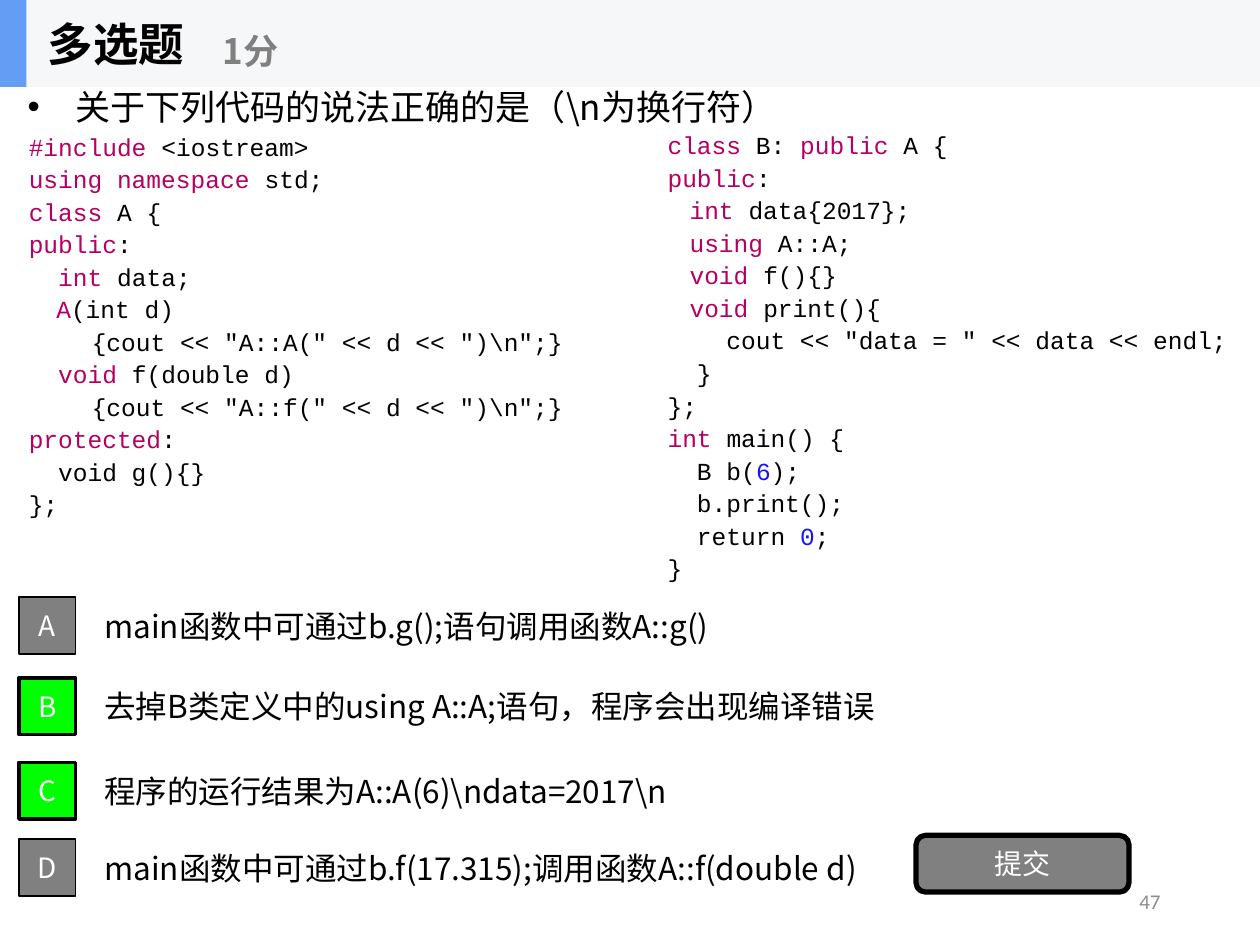
from lxml import etree
from pptx import Presentation
from pptx import util as u
from pptx.dml.color import RGBColor
from pptx.enum import shapes, text
from pptx.oxml import ns

BLACK = RGBColor(0x00, 0x00, 0x00)
WHITE = RGBColor(0xFF, 0xFF, 0xFF)
GRAY = RGBColor(0x80, 0x80, 0x80)
PALE = RGBColor(0x8C, 0x8C, 0x8C)
GREEN = RGBColor(0x00, 0xFF, 0x00)
BLUE = RGBColor(0x63, 0x9E, 0xF4)
MIST = RGBColor(0xF6, 0xF7, 0xF8)
KEY = RGBColor(0xB4, 0x00, 0x61)
NUM = RGBColor(0x16, 0x14, 0xFF)

SANS, MONO = "Noto Sans CJK SC", "Courier New"
LEFT, MID, RIGHT = text.PP_ALIGN.LEFT, text.PP_ALIGN.CENTER, text.PP_ALIGN.RIGHT
RECT, ROUND = shapes.MSO_SHAPE.RECTANGLE, shapes.MSO_SHAPE.ROUNDED_RECTANGLE

BASE = r"""`#include` <iostream>
`using namespace` std;
`class` A {
`public`:
  `int` data;
     `A`(int d)
	{cout << "A::A(" << d << ")\n";}
  `void` f(double d)
	{cout << "A::f(" << d << ")\n";}
`protected`:
  void g(){}
};"""

CHILD = r"""`class` B: `public` A {
`public`:
    `int` data{2017};
    `using` A::A;
    `void` f(){}
    `void` print(){
    cout << "data = " << data << endl;
  }
};
`int` main() {
  B b(`6`);
  b.print();
  return `0`;
}"""

CHOICES = [
    ("A", 47.4, False, "main函数中可通过b.g();语句调用函数A::g()"),
    ("B", 53.8, True, "去掉B类定义中的using A::A;语句，程序会出现编译错误"),
    ("C", 60.5, True, r"程序的运行结果为A::A(6)\ndata=2017\n"),
    ("D", 66.6, False, "main函数中可通过b.f(17.315);调用函数A::f(double d)"),
]


class Quiz:
    COLS, ROWS = 100, 75

    def __init__(self, deck):
        self.slide = deck.slides.add_slide(deck.slide_layouts[1])
        self.col = deck.slide_width / self.COLS
        self.row = deck.slide_height / self.ROWS

    def grid(self, x, y, w, h):
        return [int(n * s) for n, s in zip((x, y, w, h), (self.col, self.row) * 2)]

    def font(self, para, size, color, name=SANS, bold=False):
        font = para.font
        font.size, font.name, font.bold = u.Pt(size), name, bold
        font.color.rgb = color
        latin = font._element.find(ns.qn("a:latin"))
        east = etree.Element(ns.qn("a:ea"), typeface=SANS)
        latin.addnext(east)

    def fill(self, shape, words, size, color, align=LEFT, **style):
        frame = shape.text_frame
        frame.word_wrap = True
        frame.auto_size = text.MSO_AUTO_SIZE.NONE
        frame.vertical_anchor = text.MSO_ANCHOR.MIDDLE
        frame.text = words
        para = frame.paragraphs[0]
        para.alignment = align
        self.font(para, size, color, **style)

    def label(self, area, words, size, color, **style):
        box = self.slide.shapes.add_textbox(*self.grid(*area))
        self.fill(box, words, size, color, **style)

    def holder(self, shape, area, words, size, **style):
        shape.left, shape.top, shape.width, shape.height = self.grid(*area)
        para = shape.text_frame.paragraphs[0]
        para.space_before = u.Pt(0)
        prop = para._p.get_or_add_pPr()
        prop.set("marL", "0")
        prop.set("indent", "0")
        etree.SubElement(prop, ns.qn("a:buNone"))
        self.fill(shape, words, size, BLACK, **style)

    def block(self, area, tint, edge=0, kind=RECT, words=""):
        shape = self.slide.shapes.add_shape(kind, *self.grid(*area))
        shape.shadow.inherit = False
        shape.fill.solid()
        shape.fill.fore_color.rgb = tint
        if edge:
            shape.line.color.rgb = BLACK
            shape.line.width = u.Pt(edge)
        else:
            shape.line.fill.background()
        if words:
            self.fill(shape, words, 16, WHITE, align=MID)
        return shape

    def code(self, area, lines):
        frame = self.slide.shapes.add_textbox(*self.grid(*area)).text_frame
        frame.word_wrap = True
        for n, line in enumerate(lines.splitlines()):
            para = frame.add_paragraph() if n else frame.paragraphs[0]
            para.alignment = text.PP_ALIGN.JUSTIFY
            para.line_spacing = u.Pt(18.6)
            tabs = etree.SubElement(para._p.get_or_add_pPr(), ns.qn("a:tabLst"))
            etree.SubElement(tabs, ns.qn("a:tab"), pos=str(u.Inches(0.5)), algn="l")
            para.font.size = u.Pt(14)
            for k, part in enumerate(line.split("`")):
                if not part:
                    continue
                run = para.add_run()
                run.text = part
                wide = part.isspace() and len(part) > 2
                run.font.name = SANS if wide else MONO
                mark = NUM if part.isdigit() else KEY
                run.font.color.rgb = mark if k % 2 else BLACK

    def choice(self, mark, top, right, words):
        self.block((1.5, top, 4.5, 4.5), GREEN if right else GRAY, 2 if right else 1, words=mark)
        self.label((7.3, top - 1.25, 75, 7), words, 18, BLACK)

    def head(self, words, score):
        title = self.slide.shapes.title
        self.holder(title, (2.8, 0, 20.8, 6.9), words, 26, bold=True)
        for width, tint in ((100, MIST), (2.1, BLUE)):
            bar = self.block((0, 0, width, 6.9), tint)
            title._element.addprevious(bar._element)
        self.label((16.7, 1.2, 25, 5.6), score, 20, GRAY, bold=True)


def main():
    deck = Presentation()
    deck.slide_width, deck.slide_height = u.Inches(10), u.Inches(7.5)
    quiz = Quiz(deck)
    quiz.head("多选题", "1分")
    body = quiz.slide.placeholders[1]
    quiz.holder(body, (1.2, 4.6, 80, 7.7), r"关于下列代码的说法正确的是（\n为换行符）", 20)
    quiz.code((1.3, 9.7, 55.5, 33), BASE)
    quiz.code((52, 9.6, 48, 38.3), CHILD)
    for item in CHOICES:
        quiz.choice(*item)
    quiz.block((72.7, 66.3, 16.9, 4.5), GRAY, 3, ROUND, "提交")
    quiz.label((70.6, 69.5, 22.5, 4), "47", 12, PALE, align=RIGHT, name="Calibri")
    deck.save("out.pptx")


if __name__ == "__main__":
    main()
